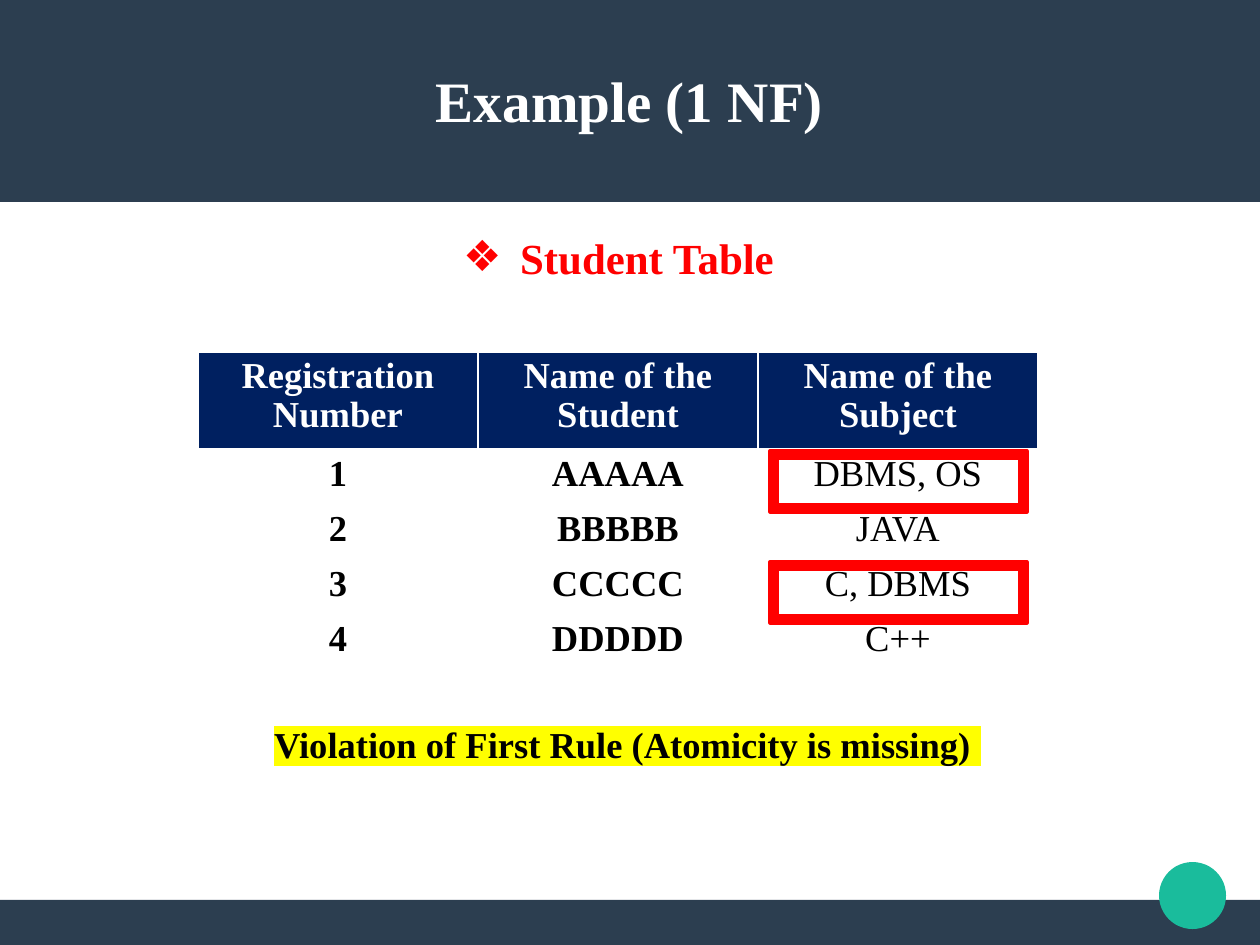
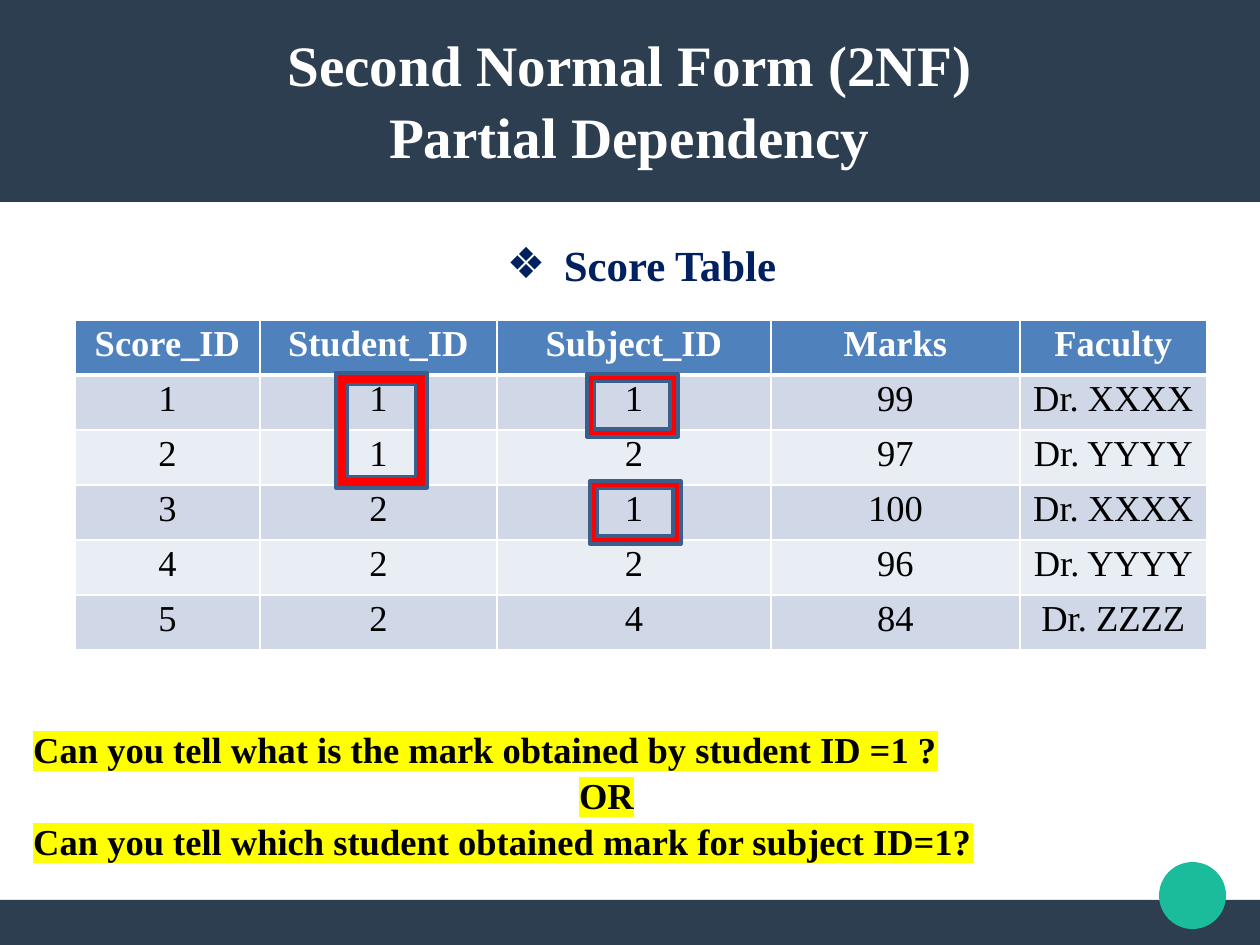
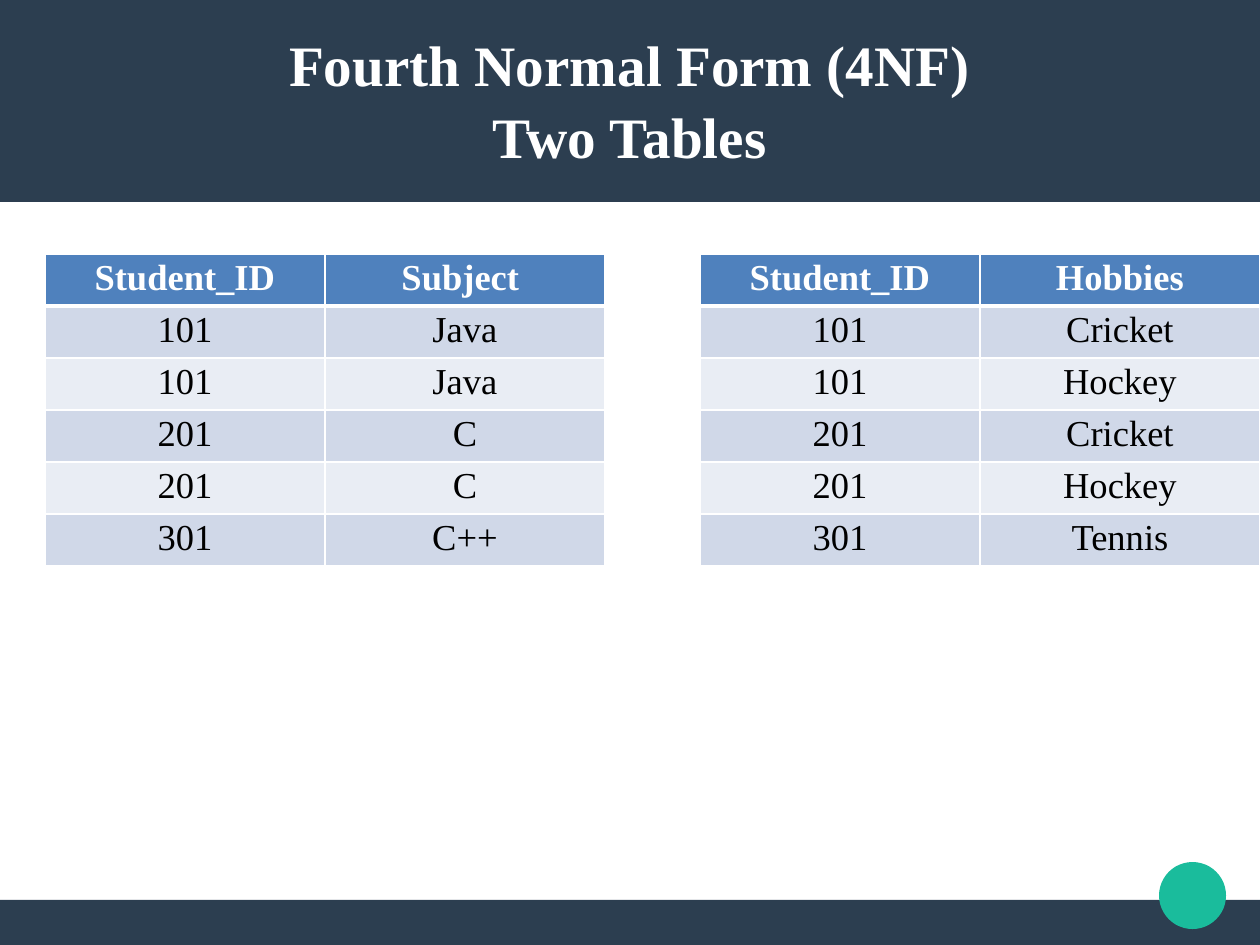
"""Build three slides on database normal forms."""
import dataclasses
import itertools

import pptx
import pptx.dml.color
import pptx.enum.shapes
import pptx.enum.text
import pptx.oxml
import pptx.oxml.ns
import pptx.util

ALIGN = pptx.enum.text.PP_ALIGN
SHAPE = pptx.enum.shapes.MSO_SHAPE
NAMESPACE = pptx.oxml.ns.nsdecls("a")


@dataclasses.dataclass(frozen=True)
class Theme:
    """Colours, type sizes and spacing of the deck."""
    font: str = "Times New Roman"
    band: str = "2C3E50"
    accent: str = "1ABC9C"
    white: str = "FFFFFF"
    black: str = "000000"
    red: str = "FF0000"
    navy: str = "002060"
    blue: str = "4F81BD"
    outline: str = "3A5F8C"
    marker: str = "FFFF00"
    stripes: tuple = ("D0D8E8", "E9EDF4")
    title_size: int = 36
    heading_size: int = 27
    text_size: int = 23
    text_spacing: float = 1.05
    cell_spacing: float = 0.95


THEME = Theme()


def px(length):
    """Turn pixels into EMU."""
    return pptx.util.Emu(length * 8000)


def rgb(code):
    """Turn a hex code into a colour."""
    return pptx.dml.color.RGBColor.from_string(code)


def place(shape, box):
    """Move a shape to a pixel box."""
    shape.left, shape.top, shape.width, shape.height = map(px, box)


def write(frame, lines, *, size=THEME.text_size, color=THEME.black, bold=True,
          aligns=(ALIGN.CENTER,), highlight=None, spacing=THEME.text_spacing):
    """Fill a text frame with formatted lines."""
    frame.word_wrap = True
    frame.text = "\n".join(lines)
    for paragraph, align in zip(frame.paragraphs, itertools.cycle(aligns)):
        paragraph.alignment = align
        paragraph.line_spacing = spacing
        paragraph.space_before = pptx.util.Pt(0)
        for run in paragraph.runs:
            run.font.size = pptx.util.Pt(size)
            run.font.bold = bold
            run.font.color.rgb = rgb(color)
            run.font.name = THEME.font
            if highlight:
                ink = run.font.fill._xPr.find(pptx.oxml.ns.qn("a:solidFill"))
                ink.addnext(pptx.oxml.parse_xml(
                    f'<a:highlight {NAMESPACE}><a:srgbClr val="{highlight}"/></a:highlight>'))


def add_preset(slide, kind, box, fill, line=None):
    """Add a flat preset shape, outlined if a line colour is given."""
    shape = slide.shapes.add_shape(kind, *map(px, box))
    shape.shadow.inherit = False
    shape.fill.solid()
    shape.fill.fore_color.rgb = rgb(fill)
    if line:
        shape.line.color.rgb = rgb(line)
        shape.line.width = pptx.util.Pt(2)
    else:
        shape.line.fill.background()
    return shape


def dress_master(deck, slide):
    """Put the bands and the accent dot on the slide master."""
    decor = (
        (SHAPE.RECTANGLE, (0, 900, 1260, 45), THEME.band),
        (SHAPE.RECTANGLE, (0, 0, 1260, 202), THEME.band),
        (SHAPE.OVAL, (1159, 862, 67, 67), THEME.accent),
    )
    tree = deck.slide_master.element.cSld.spTree
    for index, part in enumerate(decor):
        element = add_preset(slide, *part).element
        element.nvSpPr.cNvPr.set("id", str(20 + index))
        tree.insert(2 + index, element)


def add_title(slide, lines):
    """Write the slide title in the top band."""
    title = slide.shapes.title
    place(title, (45, 38, 1169, 120))
    frame = title.text_frame
    frame.auto_size = pptx.enum.text.MSO_AUTO_SIZE.NONE
    frame.vertical_anchor = pptx.enum.text.MSO_ANCHOR.MIDDLE
    frame.margin_left = frame.margin_top = frame.margin_right = frame.margin_bottom = 0
    write(frame, lines, size=THEME.title_size, color=THEME.white)


def add_heading(slide, box, heading, color):
    """Write the bulleted table heading in the body placeholder."""
    body = slide.placeholders[1]
    place(body, box)
    body.text_frame.auto_size = pptx.enum.text.MSO_AUTO_SIZE.NONE
    write(body.text_frame, [heading], size=THEME.heading_size, color=color)
    properties = body.text_frame.paragraphs[0]._p.get_or_add_pPr()
    properties.set("marL", str(px(57)))
    properties.set("indent", str(px(-57)))
    properties.append(pptx.oxml.parse_xml(f'<a:buChar {NAMESPACE} char="❖"/>'))


def style_cell(cell, row, fill):
    """Give a cell white borders, heavy below the header, and a fill."""
    properties = cell._tc.get_or_add_tcPr()
    heavy = {0: "B", 1: "T"}.get(row)
    for side in "LRTB":
        width = pptx.util.Pt(3 if side == heavy else 1)
        properties.append(pptx.oxml.parse_xml(
            f'<a:ln{side} {NAMESPACE} w="{width}"><a:solidFill>'
            f'<a:srgbClr val="{THEME.white}"/></a:solidFill></a:ln{side}>'))
    if fill:
        cell.fill.solid()
        cell.fill.fore_color.rgb = rgb(fill)
    else:
        cell.fill.background()


def add_grid(slide, origin, widths, heights, rows, *, header=THEME.blue,
             stripes=THEME.stripes, bold_columns=0):
    """Add a table with its top left corner at the origin."""
    box = (*origin, sum(widths), sum(heights))
    table = slide.shapes.add_table(len(rows), len(widths), *map(px, box)).table
    table.horz_banding = table.first_row = False
    for column, width in zip(table.columns, widths):
        column.width = px(width)
    for r, (values, height) in enumerate(zip(rows, heights)):
        table.rows[r].height = px(height)
        fill = stripes[(r - 1) % len(stripes)] if r else header
        for c, value in enumerate(values):
            cell = table.cell(r, c)
            style_cell(cell, r, fill)
            write(cell.text_frame, [value], bold=r == 0 or c < bold_columns,
                  color=THEME.black if r else THEME.white, spacing=THEME.cell_spacing)


def add_marks(slide, origin, marks, line):
    """Frame table cells in red, at offsets from the table's corner."""
    for left, top, width, height in marks:
        box = (origin[0] + left, origin[1] + top, width, height)
        add_preset(slide, SHAPE.FRAME, box, THEME.red, line)


def add_remark(slide, box, lines, **style):
    """Write highlighted lines in a text box."""
    remark = slide.shapes.add_textbox(*map(px, box))
    write(remark.text_frame, lines, highlight=THEME.marker, **style)


def build_first_form(slide):
    """Show the student table that breaks the first rule."""
    add_title(slide, ["Example (1 NF)"])
    add_heading(slide, (22, 223, 1193, 64), "Student Table", THEME.red)
    students = (
        ("Registration Number", "Name of the Student", "Name of the Subject"),
        ("1", "AAAAA", "DBMS, OS"),
        ("2", "BBBBB", "JAVA"),
        ("3", "CCCCC", "C, DBMS"),
        ("4", "DDDDD", "C++"),
    )
    corner = (198, 352)
    add_grid(slide, corner, [280] * 3, [98] + [55] * 4, students,
             header=THEME.navy, stripes=(None,), bold_columns=2)
    add_marks(slide, corner, [(572, top, 257, 61) for top in (99, 210)], THEME.red)
    add_remark(slide, (159, 714, 937, 56),
               ["Violation of First Rule (Atomicity is missing) "])


def build_second_form(slide):
    """Show the score table with its partial dependency."""
    add_title(slide, ["Second Normal Form (2NF)", "Partial Dependency"])
    add_heading(slide, (45, 230, 1193, 64), "Score Table", THEME.navy)
    scores = (
        ("Score_ID", "Student_ID", "Subject_ID", "Marks", "Faculty"),
        ("1", "1", "1", "99", "Dr. XXXX"),
        ("2", "1", "2", "97", "Dr. YYYY"),
        ("3", "2", "1", "100", "Dr. XXXX"),
        ("4", "2", "2", "96", "Dr. YYYY"),
        ("5", "2", "4", "84", "Dr. ZZZZ"),
    )
    corner = (75, 320)
    add_grid(slide, corner, [185, 237, 274, 249, 187], [55] * 6, scores)
    add_remark(slide, (22, 719, 1169, 189), [
        "Can you tell what is the mark obtained by student ID =1 ?",
        "OR",
        "Can you tell which student obtained mark for subject ID=1?",
    ], aligns=(ALIGN.LEFT, ALIGN.CENTER))
    marks = ((261, 53, 91, 115), (512, 54, 91, 63), (515, 161, 91, 63))
    add_marks(slide, corner, marks, THEME.outline)


def build_fourth_form(slide):
    """Show the subjects and the hobbies in separate tables."""
    add_title(slide, ["Fourth Normal Form (4NF)", "Two Tables"])
    ids = ("Student_ID", "101", "101", "201", "201", "301")
    subjects = ("Subject ", "Java", "Java", "C", "C", "C++")
    hobbies = ("Hobbies", "Cricket", "Hockey", "Cricket", "Hockey", "Tennis")
    for left, columns in ((45, (ids, subjects)), (700, (ids,)), (980, (hobbies,))):
        add_grid(slide, (left, 254), [280] * len(columns), [52] * 6, list(zip(*columns)))


def main():
    """Build and save the deck."""
    deck = pptx.Presentation()
    deck.slide_width, deck.slide_height = px(1260), px(945)
    content, title_only = deck.slide_layouts[1], deck.slide_layouts[5]
    pages = ((content, build_first_form), (content, build_second_form),
             (title_only, build_fourth_form))
    for number, (layout, build) in enumerate(pages):
        slide = deck.slides.add_slide(layout)
        if number == 0:
            dress_master(deck, slide)
        build(slide)
    deck.save("out.pptx")


if __name__ == "__main__":
    main()
